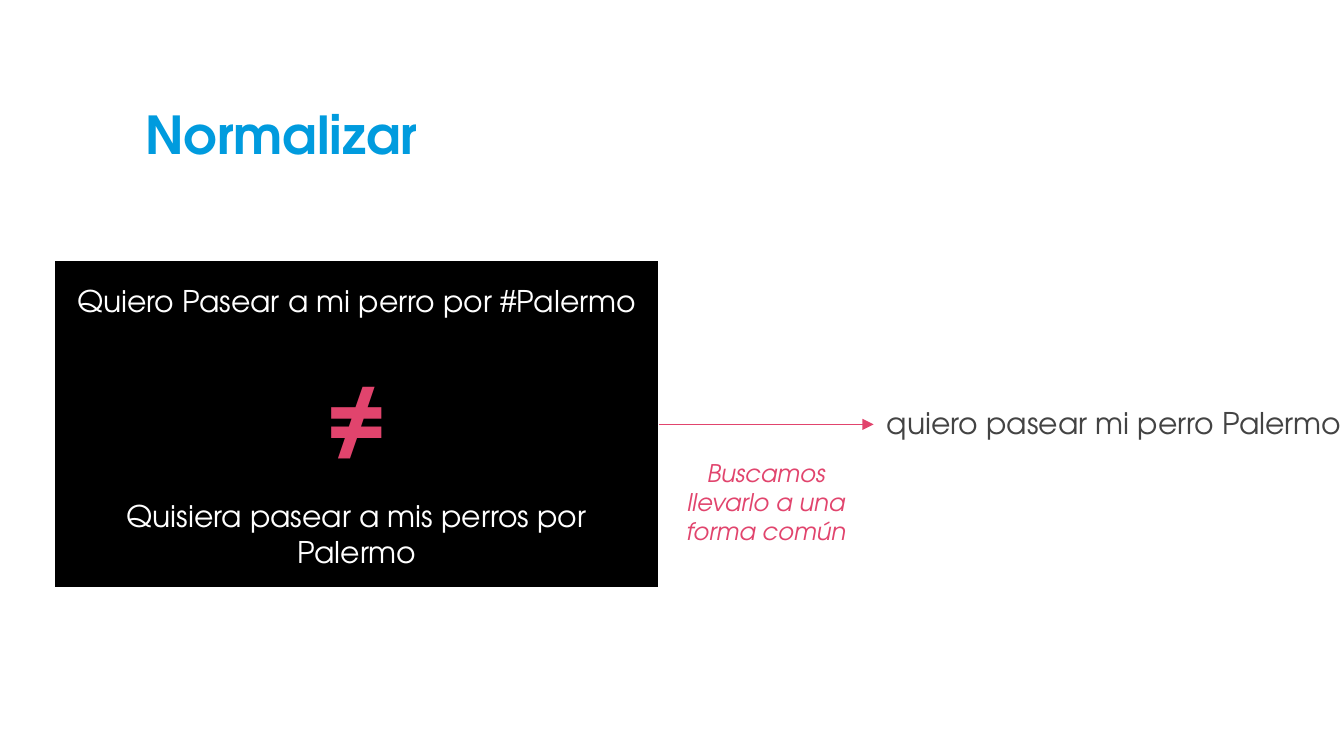
import dataclasses
import typing

import lxml.etree
import pptx
import pptx.dml.color
import pptx.enum.shapes
import pptx.enum.text
import pptx.oxml.ns
import pptx.util

PX = 4572  # EMU per px, 200 px to the inch
FONT = "TeX Gyre Adventor"
COLORS = {
    "white": "FFFFFF",
    "black": "000000",
    "blue": "009BDE",
    "pink": "E1446D",
    "gray": "434343",
}
LEFT = pptx.enum.text.PP_ALIGN.LEFT
CENTER = pptx.enum.text.PP_ALIGN.CENTER
TOP = pptx.enum.text.MSO_ANCHOR.TOP
MIDDLE = pptx.enum.text.MSO_ANCHOR.MIDDLE


@dataclasses.dataclass
class Label:
    text: str
    left: int
    top: int
    width: int
    height: int
    size: int
    color: str
    align: typing.Any = CENTER
    anchor: typing.Any = TOP
    bold: bool = False
    italic: bool = False


PANEL = (81, 388, 900, 487)
TITLE = Label("Normalizar", 196, 132, 1604, 128, 28, "blue", align=LEFT, bold=True)
PANEL_LABELS = [
    Label("Quiero Pasear a mi perro por #Palermo", 82, 401, 898, 98, 16, "white"),
    Label("Quisiera pasear a mis perros por Palermo", 82, 721, 898, 98, 16, "white"),
    Label("≠", 82, 527, 898, 166, 48, "pink", anchor=MIDDLE, bold=True),
]
RESULT = Label("quiero pasear mi perro Palermo", 1300, 583, 780, 97, 16, "gray", align=LEFT)
ARROW_NOTE = Label("Buscamos llevarlo a una forma común", 990, 662, 300, 98, 13, "pink",
                   italic=True)


def px(*lengths: int) -> list[pptx.util.Emu]:
    return [pptx.util.Emu(length * PX) for length in lengths]


def color(name: str) -> pptx.dml.color.RGBColor:
    return pptx.dml.color.RGBColor.from_string(COLORS[name])


def write_label(box: typing.Any, label: Label) -> None:
    box.left, box.top, box.width, box.height = px(
        label.left, label.top, label.width, label.height)
    frame = box.text_frame
    frame.word_wrap = True
    frame.auto_size = pptx.enum.text.MSO_AUTO_SIZE.NONE
    frame.vertical_anchor = label.anchor
    (frame.margin_left, frame.margin_top,
     frame.margin_right, frame.margin_bottom) = px(20, 20, 20, 20)
    para = frame.paragraphs[0]
    para.alignment = label.align
    span = para.add_run()
    span.text = label.text
    span.font.name = FONT
    span.font.size = pptx.util.Pt(label.size)
    span.font.bold = label.bold
    span.font.italic = label.italic
    span.font.color.rgb = color(label.color)


def add_label(page: typing.Any, label: Label) -> typing.Any:
    box = page.shapes.add_textbox(*px(0, 0, 1, 1))
    write_label(box, label)
    return box


def add_panel(page: typing.Any) -> typing.Any:
    panel = page.shapes.add_shape(pptx.enum.shapes.MSO_SHAPE.RECTANGLE, *px(*PANEL))
    panel.shadow.inherit = False
    panel.fill.solid()
    panel.fill.fore_color.rgb = color("black")
    panel.line.color.rgb = color("white")
    panel.line.width = pptx.util.Pt(0.75)
    return panel


def add_arrow(page: typing.Any, start: typing.Any, end: typing.Any) -> None:
    """Join the right side of one box to the left side of another."""
    arrow = page.shapes.add_connector(
        pptx.enum.shapes.MSO_CONNECTOR.STRAIGHT, *px(0, 0, 1, 1))
    arrow.begin_connect(start, 3)
    arrow.end_connect(end, 1)
    arrow.line.color.rgb = color("pink")
    arrow.line.width = pptx.util.Pt(0.75)
    qn = pptx.oxml.ns.qn
    lxml.etree.SubElement(arrow.line._get_or_add_ln(), qn("a:tailEnd"), type="triangle")
    lxml.etree.SubElement(arrow._element.spPr, qn("a:effectLst"))


def main() -> None:
    deck = pptx.Presentation()
    deck.slide_width, deck.slide_height = px(2000, 1125)
    page = deck.slides.add_slide(deck.slide_layouts[5])

    # Title
    write_label(page.shapes.title, TITLE)

    # Two phrases that differ
    panel = add_panel(page)
    for label in PANEL_LABELS:
        add_label(page, label)

    # Common form they lead to
    result = add_label(page, RESULT)
    add_arrow(page, panel, result)
    add_label(page, ARROW_NOTE)

    deck.save("out.pptx")


if __name__ == "__main__":
    main()
